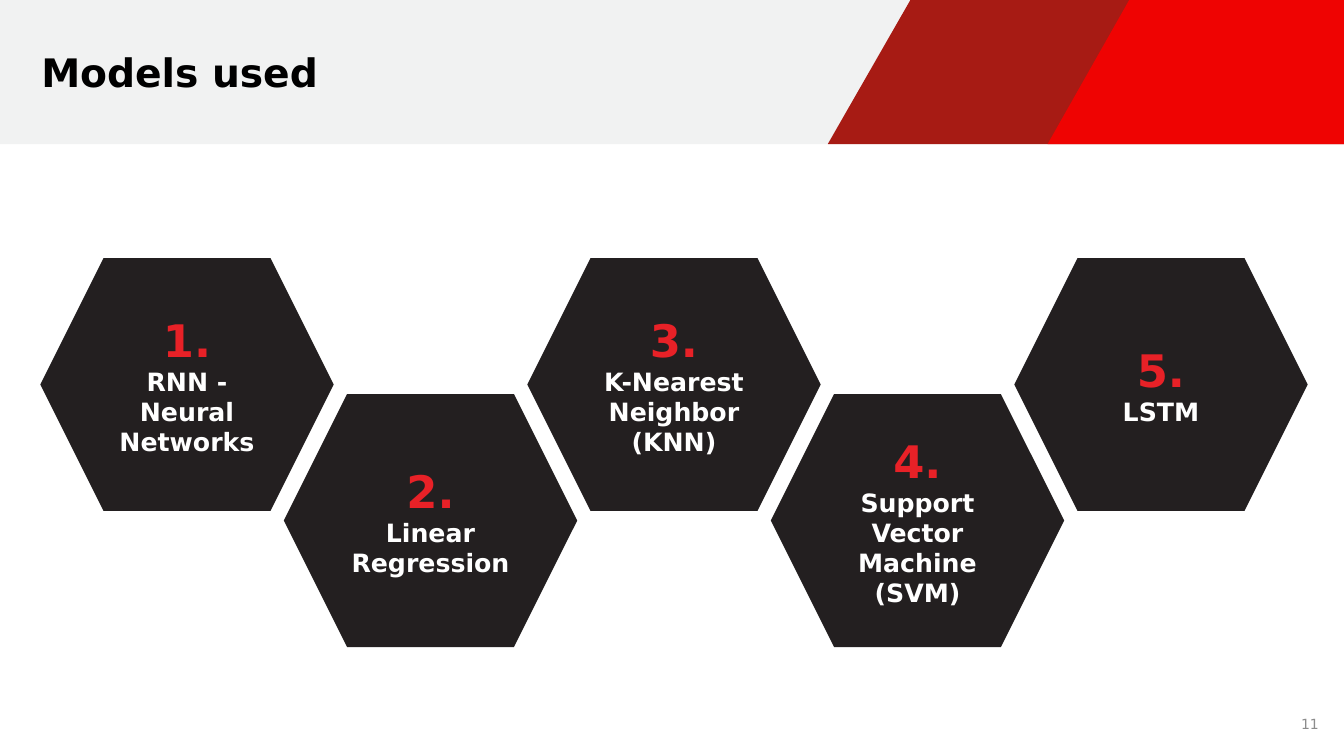
"""Build the slide that lists the models used."""
from pptx import Presentation
from pptx.dml.color import RGBColor
from pptx.enum.shapes import MSO_SHAPE as Shape
from pptx.enum.text import MSO_ANCHOR as Anchor, PP_ALIGN as Align
from pptx.util import Inches, Pt

FONT = "DejaVu Sans"
SLIDE_WIDTH, SLIDE_HEIGHT = 13.33, 7.5
HEADER_HEIGHT = 1.43
HEXAGON_WIDTH, HEXAGON_HEIGHT = 2.91, 2.51
HEXAGON_LEFT, HEXAGON_STEP = 0.4, 2.415
ROW_TOPS = (2.56, 3.91)
MODELS = [
    "RNN - Neural Networks",
    "Linear Regression",
    "K-Nearest Neighbor (KNN)",
    "Support Vector Machine (SVM)",
    "LSTM",
]


def color(hex_code):
    """Return the colour for a hex string."""
    return RGBColor.from_string(hex_code)


def paint(shape, fill):
    """Give a shape a plain fill without line or shadow."""
    shape.shadow.inherit = False
    shape.fill.solid()
    shape.fill.fore_color.rgb = color(fill)
    shape.line.fill.background()


def write(paragraph, text, size, hex_code, bold, align):
    """Fill a paragraph with text in one style."""
    paragraph.text = text
    paragraph.alignment = align
    font = paragraph.font
    font.name, font.size, font.bold = FONT, Pt(size), bold
    font.color.rgb = color(hex_code)


def add_block(slide, kind, left, top, width, height, fill):
    """Add a filled preset shape."""
    block = slide.shapes.add_shape(
        kind, Inches(left), Inches(top), Inches(width), Inches(height))
    paint(block, fill)
    return block


def add_slanted_band(slide, top_left, bottom_left, fill):
    """Add a header band with a slanted left edge, reaching the right side."""
    corners = [(bottom_left, HEADER_HEIGHT), (SLIDE_WIDTH, HEADER_HEIGHT),
               (SLIDE_WIDTH, 0)]
    outline = slide.shapes.build_freeform(Inches(top_left), 0)
    outline.add_line_segments([(Inches(x), Inches(y)) for x, y in corners])
    paint(outline.convert_to_shape(), fill)


def add_label(slide, left, top, width, height, text, size, hex_code,
              bold=False, align=Align.LEFT):
    """Add a text box without margins, centred vertically."""
    label = slide.shapes.add_textbox(
        Inches(left), Inches(top), Inches(width), Inches(height))
    frame = label.text_frame
    frame.word_wrap = True
    frame.vertical_anchor = Anchor.MIDDLE
    frame.margin_left = frame.margin_right = 0
    frame.margin_top = frame.margin_bottom = 0
    write(frame.paragraphs[0], text, size, hex_code, bold, align)


def add_model(slide, index, model):
    """Add the hexagon of one model, alternating between the two rows."""
    hexagon = add_block(
        slide, Shape.HEXAGON, HEXAGON_LEFT + index * HEXAGON_STEP,
        ROW_TOPS[index % 2], HEXAGON_WIDTH, HEXAGON_HEIGHT, "231F20")
    frame = hexagon.text_frame
    frame.word_wrap = True
    frame.vertical_anchor = Anchor.MIDDLE
    write(frame.paragraphs[0], f"{index + 1}.", 32, "E82127", True,
          Align.CENTER)
    write(frame.add_paragraph(), model, 18, "FFFFFF", True, Align.CENTER)


def main():
    """Build and save the slide."""
    deck = Presentation()
    deck.slide_width, deck.slide_height = Inches(SLIDE_WIDTH), Inches(SLIDE_HEIGHT)
    slide = deck.slides.add_slide(deck.slide_layouts[6])
    add_block(slide, Shape.RECTANGLE, 0, 0, SLIDE_WIDTH, HEADER_HEIGHT, "F1F2F2")
    add_slanted_band(slide, 9.03, 8.21, "A71B14")
    add_slanted_band(slide, 11.2, 10.39, "EF0302")
    add_label(slide, 0.41, 0.48, 7.64, 0.47, "Models used", 28, "000000", bold=True)
    for index, model in enumerate(MODELS):
        add_model(slide, index, model)
    add_label(slide, 10.08, 7.08, 3, 0.2, "11", 10, "8C8C8C", align=Align.RIGHT)
    deck.save("out.pptx")


if __name__ == "__main__":
    main()
